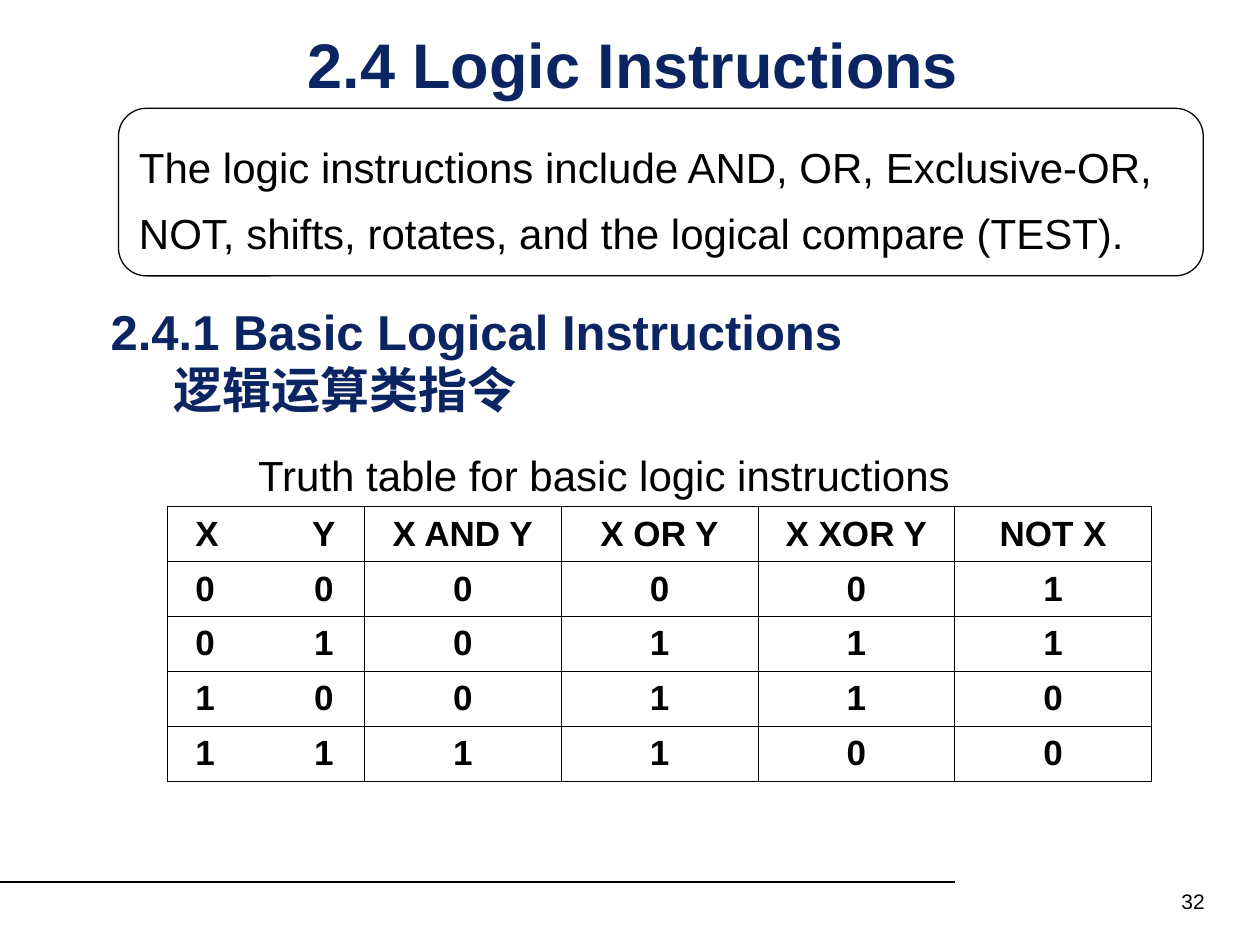
from lxml import etree
from pptx import Presentation
from pptx.dml.color import RGBColor
from pptx.enum.shapes import MSO_CONNECTOR, MSO_SHAPE
from pptx.enum.text import MSO_ANCHOR, MSO_AUTO_SIZE, PP_ALIGN
from pptx.oxml import parse_xml
from pptx.oxml.ns import nsdecls, qn
from pptx.util import Inches, Pt

NAVY = RGBColor(0x0A, 0x25, 0x62)
BLACK = RGBColor(0, 0, 0)
WHITE = RGBColor(0xFF, 0xFF, 0xFF)
LEFT, CENTER, RIGHT = PP_ALIGN.LEFT, PP_ALIGN.CENTER, PP_ALIGN.RIGHT
MIDDLE = MSO_ANCHOR.MIDDLE
TITLE_ONLY = 5

TRUTH = [
    ("X\tY", "X AND Y", "X OR Y", "X XOR Y", "NOT X"),
    ("0\t0", "0", "0", "0", "1"),
    ("0\t1", "0", "1", "1", "1"),
    ("1\t0", "0", "1", "1", "0"),
    ("1\t1", "1", "1", "0", "0"),
]


def write(frame, text, size=24, color=BLACK, bold=False, align=LEFT, space=None, stop=None):
    """Fill a text frame, one paragraph a line; stop is a centred tab stop in inches."""
    frame.word_wrap = True
    frame.text = text
    for para in frame.paragraphs:
        para.alignment = align
        if space:
            para.line_spacing = space
        if stop:
            tabs = etree.SubElement(para._p.get_or_add_pPr(), qn("a:tabLst"))
            etree.SubElement(tabs, qn("a:tab"), pos=str(Inches(stop)), algn="ctr")
        for run in para.runs:
            font = run.font
            font.name, font.size, font.bold = "Arial", Pt(size), bold
            font.color.rgb = color


def border(cell, width):
    props = cell._tc.get_or_add_tcPr()
    for side in ("lnL", "lnR", "lnT", "lnB"):
        props.append(parse_xml(
            f'<a:{side} {nsdecls("a")} w="{Pt(width)}"><a:solidFill>'
            f'<a:srgbClr val="{BLACK}"/></a:solidFill></a:{side}>'))


class Page:
    def __init__(self, deck):
        self.slide = deck.slides.add_slide(deck.slide_layouts[TITLE_ONLY])
        self.shapes = self.slide.shapes
        self.stroke = Pt(0.75)

    def title(self, text, x, y, w, h):
        head = self.shapes.title
        head.left, head.top, head.width, head.height = map(Inches, (x, y, w, h))
        frame = head.text_frame
        write(frame, text, size=36, color=NAVY, bold=True, align=CENTER)
        frame.auto_size = MSO_AUTO_SIZE.NONE
        frame.vertical_anchor = MIDDLE

    def text(self, text, x, y, w, h, **style):
        box = self.shapes.add_textbox(*map(Inches, (x, y, w, h)))
        write(box.text_frame, text, **style)

    def panel(self, text, x, y, w, h, **style):
        shape = self.shapes.add_shape(MSO_SHAPE.ROUNDED_RECTANGLE, *map(Inches, (x, y, w, h)))
        shape.shadow.inherit = False
        shape.fill.background()
        shape.line.color.rgb = BLACK
        shape.line.width = self.stroke
        write(shape.text_frame, text, **style)
        shape.text_frame.vertical_anchor = MIDDLE

    def rule(self, x, y, w):
        line = self.shapes.add_connector(
            MSO_CONNECTOR.STRAIGHT, Inches(x), Inches(y), Inches(x + w), Inches(y))
        line.line.color.rgb = BLACK
        line.line.width = self.stroke
        etree.SubElement(line._element.spPr, qn("a:effectLst"))

    def table(self, rows, x, y, w, h):
        frame = self.shapes.add_table(len(rows), len(rows[0]), *map(Inches, (x, y, w, h)))
        grid = frame.table
        grid.first_row = grid.horz_banding = False
        for r, row in enumerate(rows):
            for c, text in enumerate(row):
                cell = grid.cell(r, c)
                border(cell, 0.45)
                cell.fill.solid()
                cell.fill.fore_color.rgb = WHITE
                cell.vertical_anchor = MIDDLE
                pair = "\t" in text
                if pair:
                    cell.margin_left = Inches(0.22)
                write(cell.text_frame, text, size=20, bold=True,
                      align=LEFT if pair else CENTER, stop=1.02 if pair else None)


def main():
    deck = Presentation()
    deck.slide_width, deck.slide_height = Inches(10), Inches(7.5)
    page = Page(deck)
    page.rule(0, 7, 7.58)
    page.title("2.4 Logic Instructions", 0.5, 0.25, 9.05, 0.5)
    page.text("32", 7.33, 7, 2.33, 0.27, size=12, align=RIGHT)
    page.panel("The logic instructions include AND, OR, Exclusive-OR, NOT, shifts, "
               "rotates, and the logical compare (TEST).", 0.94, 0.86, 8.61, 1.33, space=1.3)
    page.text("2.4.1 Basic Logical Instructions\n\t逻辑运算类指令",
              0.78, 2.34, 7.81, 1.04, size=28, color=NAVY, bold=True)
    page.text("Truth table for basic logic instructions", 1.95, 3.52, 6.41, 0.5)
    page.table(TRUTH, 1.33, 4.02, 7.81, 2.18)
    deck.save("out.pptx")


if __name__ == "__main__":
    main()
